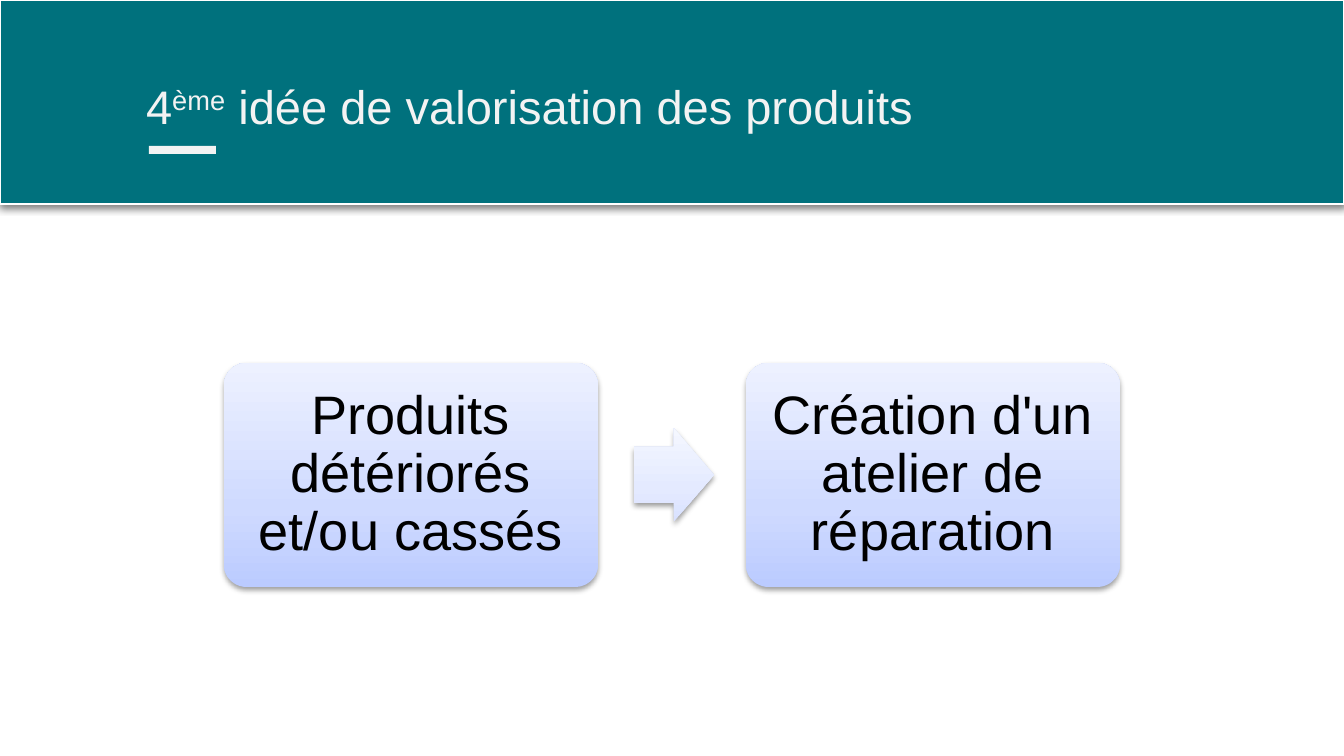
from lxml.etree import SubElement
from pptx import Presentation
from pptx.dml.color import RGBColor
from pptx.enum.shapes import MSO_SHAPE
from pptx.enum.text import MSO_ANCHOR, MSO_AUTO_SIZE, PP_ALIGN
from pptx.oxml.ns import qn
from pptx.util import Pt

WIDE, HIGH = 1344, 756
SCALE = 914400 / 134.4
CARD = [(0, "BBCBFF"), (35, "CFDAFF"), (100, "EDF1FF")]
ARROW = [(0, "D9E1FF"), (35, "E4EAFF"), (100, "F4F7FF")]


def px(n):
    return round(n * SCALE)


def color(code):
    return RGBColor.from_string(code)


def place(item, x, y, w, h):
    item.left, item.top, item.width, item.height = map(px, (x, y, w, h))


def shade(shape, alpha, blur, dist):
    """Add a black shadow that falls straight down."""
    effects = shape._element.spPr.find(qn("a:effectLst"))
    outer = SubElement(effects, qn("a:outerShdw"), blurRad=str(Pt(blur)),
                       dist=str(Pt(dist)), dir="5400000",
                       algn="ctr", rotWithShape="0")
    black = SubElement(outer, qn("a:srgbClr"), val="000000")
    SubElement(black, qn("a:alpha"), val=str(alpha * 1000))


def blend(shape, stops):
    """Fill with a gradient that runs from bottom to top."""
    shape.fill.gradient()
    shape.fill.gradient_angle = 90
    steps = shape._element.spPr.find(qn("a:gradFill")).find(qn("a:gsLst"))
    for old in list(steps):
        steps.remove(old)
    for pos, code in stops:
        stop = SubElement(steps, qn("a:gs"), pos=str(pos * 1000))
        SubElement(stop, qn("a:srgbClr"), val=code)


def draw(slide, kind, box, fill, line=None, adjust=()):
    shape = slide.shapes.add_shape(kind, *map(px, box))
    shape.shadow.inherit = False
    if isinstance(fill, str):
        shape.fill.solid()
        shape.fill.fore_color.rgb = color(fill)
    else:
        blend(shape, fill)
    if line:
        shape.line.color.rgb = color(line)
        shape.line.width = Pt(0.75)
    else:
        shape.line.fill.background()
    for i, value in enumerate(adjust):
        shape.adjustments[i] = value
    return shape


def write(item, *parts, size, ink, inset, align=PP_ALIGN.LEFT,
          anchor=MSO_ANCHOR.MIDDLE, space=1.0):
    """Set one paragraph; each part is a text and its baseline shift in %."""
    frame = item.text_frame
    frame.word_wrap = True
    frame.auto_size = MSO_AUTO_SIZE.NONE
    frame.vertical_anchor = anchor
    frame.margin_left = frame.margin_right = px(inset)
    frame.margin_top = frame.margin_bottom = px(inset)
    para = frame.paragraphs[0]
    para.alignment = align
    para.line_spacing = space
    for text, shift in parts:
        run = para.add_run()
        run.text = text
        run.font.name = "Arial"
        run.font.size = Pt(size)
        run.font.color.rgb = color(ink)
        if shift:
            run._r.get_or_add_rPr().set("baseline", str(shift * 1000))


def header(slide, x, y, w, h):
    band = draw(slide, MSO_SHAPE.RECTANGLE, (x, y, w, h), "00717D", "FFFFFF")
    shade(band, 49, 4.5, 1.5)
    draw(slide, MSO_SHAPE.RECTANGLE, (x + 149, y + 146, 67, 8), "F3F3F3")
    title = slide.shapes.title
    tree = slide.shapes._spTree
    tree.remove(title._element)
    tree.append(title._element)
    place(title, x + 133, y + 62, 1253, 85)
    write(title, ("4", 0), ("ème", 30), (" idée de valorisation des produits", 0),
          size=25.2, ink="F3F3F3", inset=13, anchor=MSO_ANCHOR.BOTTOM)


def flow(slide, x, y, w, h, labels):
    """Lay out cards in a row with an arrow in each gap."""
    wide, tip, tall = 374, 80, 93
    step = (w - wide) / (len(labels) - 1)
    for i, label in enumerate(labels):
        left = x + i * step
        if i:
            box = (left - 112, y + (h - tall) / 2, tip, tall)
            arrow = draw(slide, MSO_SHAPE.RIGHT_ARROW, box, ARROW,
                         adjust=(0.6, 0.5))
            shade(arrow, 38, 3.1, 1.6)
        card = draw(slide, MSO_SHAPE.ROUNDED_RECTANGLE, (left, y, wide, h),
                    CARD, adjust=(0.1,))
        shade(card, 38, 3.1, 1.6)
        write(card, (label, 0), size=29, ink="000000", inset=16,
              align=PP_ALIGN.CENTER, space=0.9)


def main():
    deck = Presentation()
    deck.slide_width, deck.slide_height = px(WIDE), px(HIGH)
    slide = deck.slides.add_slide(deck.slide_layouts[5])
    header(slide, 0, 0, WIDE, 204)
    flow(slide, 224, 363, 896, 224,
         ["Produits détériorés et/ou cassés",
          "Création d'un atelier de réparation"])
    deck.save("out.pptx")


if __name__ == "__main__":
    main()
